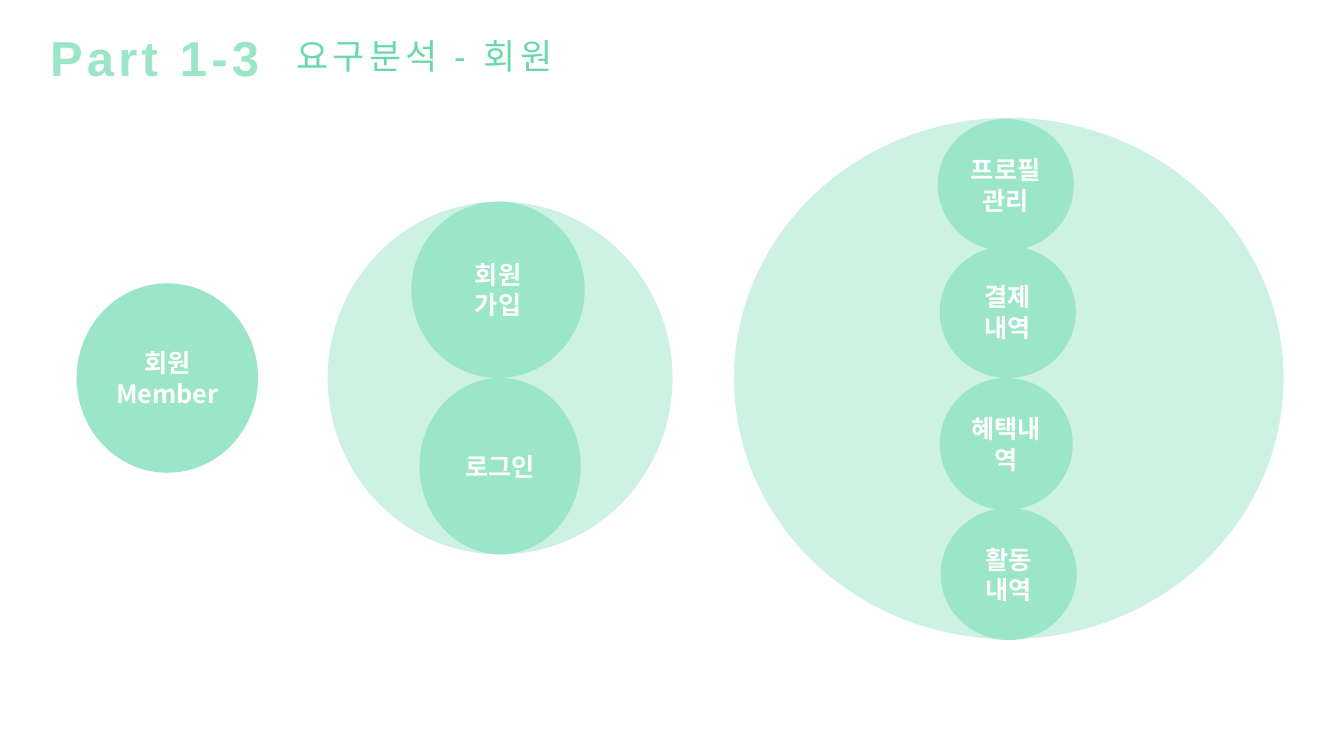
import dataclasses

import lxml.etree
import pptx
import pptx.dml.color
import pptx.enum.shapes
import pptx.enum.text
import pptx.oxml.ns
import pptx.util


@dataclasses.dataclass(frozen=True)
class Theme:
    mint: str = "9BE5C8"
    pale: str = "CDF2E4"
    green: str = "69D8AD"
    white: str = "FFFFFF"
    latin: str = "Arial"
    korean: str = "Noto Sans CJK KR"
    title_size: int = 35
    subtitle_size: int = 25
    label_size: int = 18
    tracking: int = 300


class Deck:
    """Places elements on a grid of 100 columns by 100 rows."""

    def __init__(self, theme):
        self.theme = theme
        self.prs = pptx.Presentation()
        self.prs.slide_width = pptx.util.Inches(13.33)
        self.prs.slide_height = pptx.util.Inches(7.5)
        self.s = self.prs.slides.add_slide(self.prs.slide_layouts[5])

    def box(self, left, top, width, height):
        col, row = self.prs.slide_width / 100, self.prs.slide_height / 100
        return [int(v) for v in (left * col, top * row, width * col, height * row)]

    def set_text(self, sp, lines, color, name, size, bold, anchor, tracking=0):
        tf = sp.text_frame
        frame_format = {
            "word_wrap": True,
            "vertical_anchor": anchor,
            "auto_size": pptx.enum.text.MSO_AUTO_SIZE.NONE,
        }
        for key, value in frame_format.items():
            setattr(tf, key, value)
        font_format = {"name": name, "size": pptx.util.Pt(size), "bold": bold}
        for i, line in enumerate(lines):
            p = tf.add_paragraph() if i else tf.paragraphs[0]
            p.alignment = pptx.enum.text.PP_ALIGN.CENTER
            r = p.add_run()
            r.text = line
            for key, value in font_format.items():
                setattr(r.font, key, value)
            r.font.color.rgb = pptx.dml.color.RGBColor.from_string(color)
            # East Asian typeface and letter spacing
            rpr = r.font._element
            ea = lxml.etree.SubElement(rpr, pptx.oxml.ns.qn("a:ea"))
            ea.set("typeface", self.theme.korean)
            if tracking:
                rpr.set("spc", str(tracking))

    def heading(self, sp, text, color, size, bold):
        self.set_text(sp, [text], color, self.theme.latin, size, bold,
                      pptx.enum.text.MSO_ANCHOR.TOP, self.theme.tracking)

    def title(self, text, *place):
        sp = self.s.shapes.title
        for key, value in zip(("left", "top", "width", "height"), self.box(*place)):
            setattr(sp, key, value)
        self.heading(sp, text, self.theme.mint, self.theme.title_size, True)

    def subtitle(self, text, *place):
        sp = self.s.shapes.add_textbox(*self.box(*place))
        self.heading(sp, text, self.theme.green, self.theme.subtitle_size, False)

    def circle(self, color, *place, lines=()):
        oval = pptx.enum.shapes.MSO_SHAPE.OVAL
        sp = self.s.shapes.add_shape(oval, *self.box(*place))
        sp.shadow.inherit = False
        sp.fill.solid()
        sp.fill.fore_color.rgb = pptx.dml.color.RGBColor.from_string(color)
        sp.line.fill.background()
        if lines:
            self.set_text(sp, lines, self.theme.white, self.theme.korean,
                          self.theme.label_size, True, pptx.enum.text.MSO_ANCHOR.MIDDLE)


def main():
    theme = Theme()
    deck = Deck(theme)

    # Heading
    deck.title("Part 1-3", 0, 2.93, 23.03, 9.07)
    deck.subtitle("요구분석 - 회원", 18.83, 3.87, 25.51, 6.8)

    # Large background circles
    deck.circle(theme.pale, 24.38, 26.67, 25.66, 46.67)
    deck.circle(theme.pale, 54.61, 15.6, 40.89, 68.93)

    # Member, then account entry, then member pages
    account, page = 23.33, 17.47
    labels = [
        (["회원", "Member"], 5.7, 37.47, 13.5, 25.07),
        (["회원", "가입"], 30.61, 26.67, 12.9, account),
        (["로그인"], 31.21, 50, 12, account),
        (["프로필 관리"], 69.77, 15.73, 10.13, page),
        (["결제", "내역"], 69.92, 32.53, 10.13, page),
        (["혜택내역"], 69.92, 50, 9.9, page),
        (["활동", "내역"], 69.99, 67.2, 10.13, page),
    ]
    for lines, *place in labels:
        deck.circle(theme.mint, *place, lines=lines)

    deck.prs.save("out.pptx")


if __name__ == "__main__":
    main()
